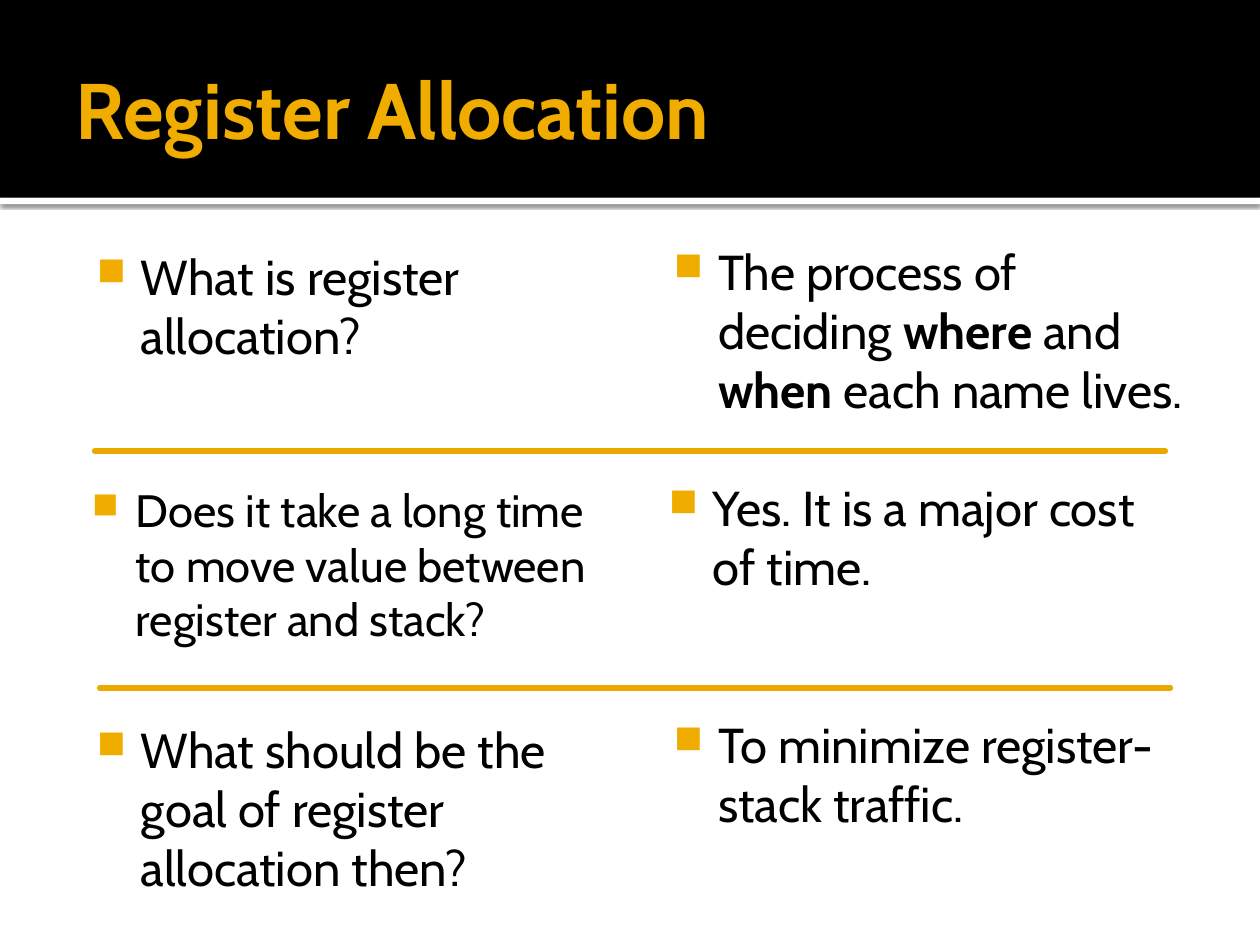
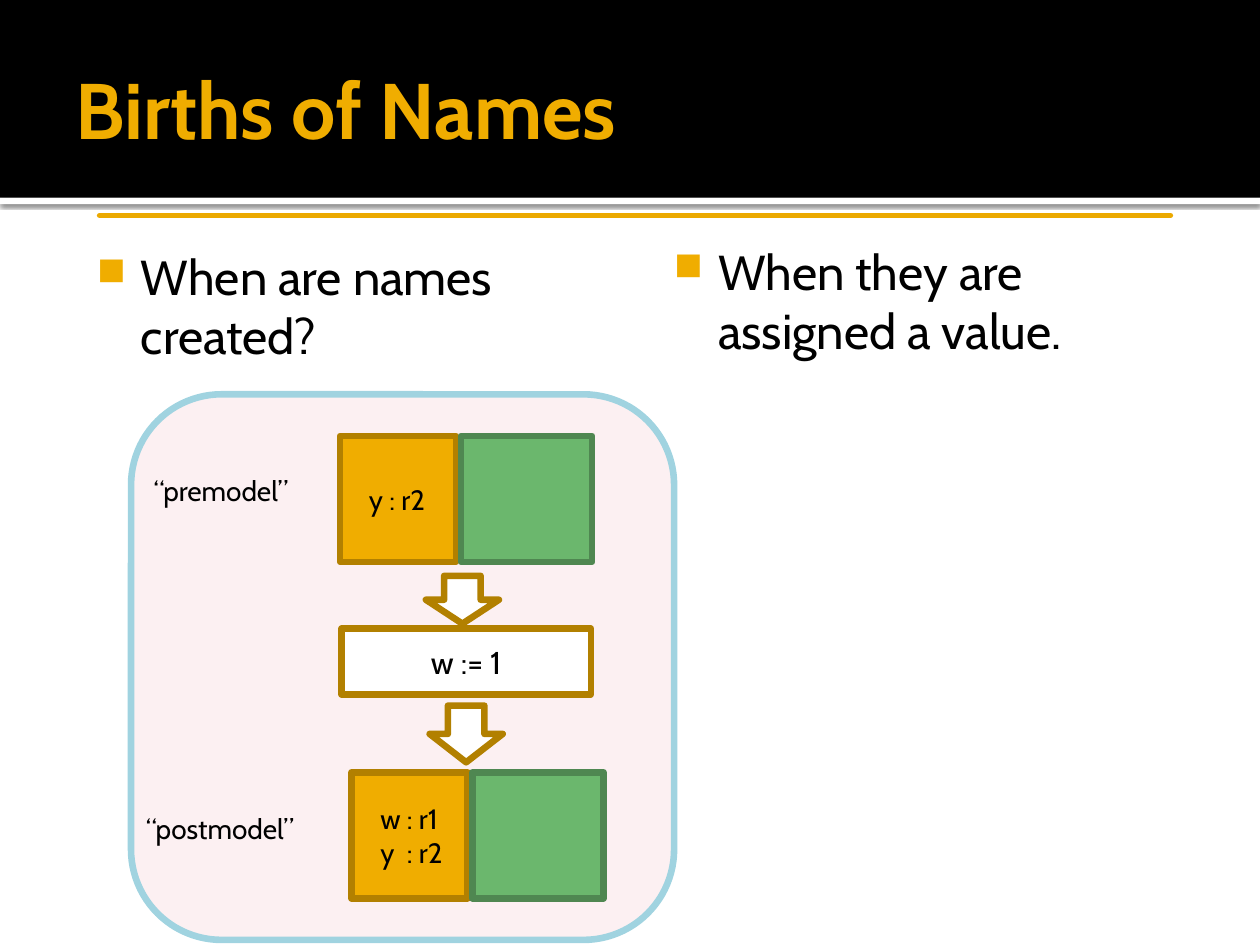
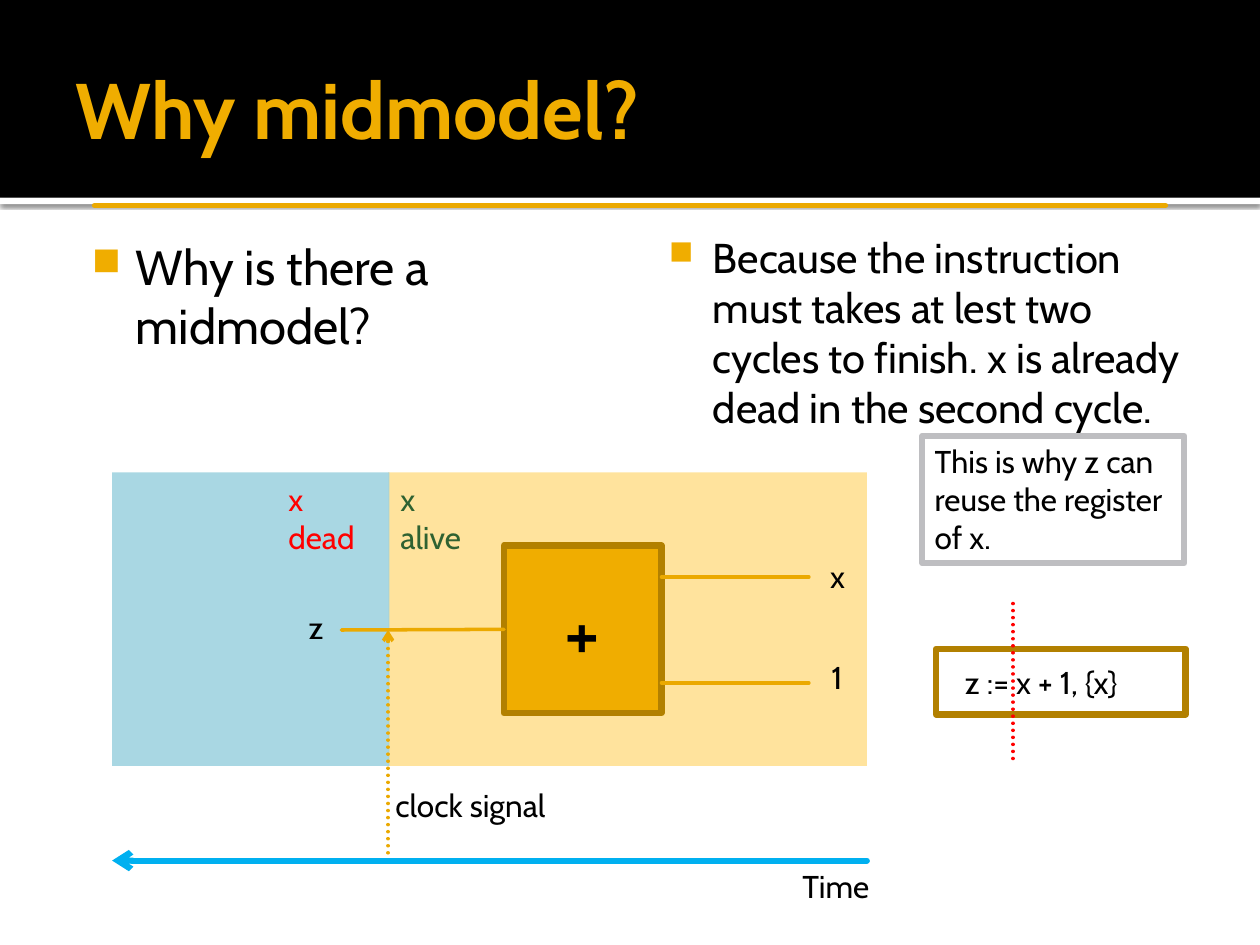
"""Build three slides on register allocation and save them as out.pptx."""
import pptx
import pptx.dml.color
import pptx.enum.dml
import pptx.enum.shapes
import pptx.enum.text
import pptx.oxml
import pptx.oxml.ns
import pptx.util

Inches, Pt = pptx.util.Inches, pptx.util.Pt
SHAPE = pptx.enum.shapes.MSO_SHAPE
ALIGN = pptx.enum.text.PP_ALIGN
ANCHOR = pptx.enum.text.MSO_ANCHOR

FONT = "Cabin"
BLACK, WHITE, GOLD, RULE = "000000", "FFFFFF", "F0AD00", "EBA900"
BROWN, GREEN, DARK_GREEN = "B28000", "6BB76D", "4F8751"
PALE_BLUE, PINK, CREAM = "A0D3E0", "F0A7B1", "FFE193"
SKY, GREY, RED, FOREST = "00B0F0", "BEBEC1", "FF0000", "2F6231"
BORDER = 3.78

# Each row: rule left, rule top, rule drawn, (question, size), (answer, size); *stars* mark bold.
SLIDES = [
    ("Register Allocation", [
        (0.79, 1.71, False, ("What is register allocation?", 28),
         ("The process of deciding *where* and *when* each name lives.", 28)),
        (0.75, 3.58, True,
         ("Does it take a long time to move value between register and stack?", 25.9),
         ("Yes. It is a major cost of time.", 28)),
        (0.79, 5.46, True, ("What should be the goal of register allocation then?", 28),
         ("To minimize register-stack traffic.", 28)),
    ]),
    ("Births of Names", [
        (0.79, 1.71, True, ("When are names created?", 28),
         ("When they are assigned a value.", 28)),
    ]),
    ("Why midmodel?", [
        (0.75, 1.63, True, ("Why is there a midmodel?", 28),
         ("Because the instruction must takes at lest two cycles to finish. "
          "x is already dead in the second cycle.", 23.8)),
    ]),
]

MODELS = [(2.7, 3.46, "y : r2"), (2.79, 6.13, "w : r1\ny  : r2")]
MODEL_LABELS = [("“premodel”", 1.12, 3.71, 1.28), ("“postmodel”", 1.06, 6.39, 1.38)]
DOWN_ARROWS = [(3.38, 4.57, 0.38), (3.41, 5.6, 0.45)]

TIME_LABELS = [
    ("x", 6.49, 4.37, 0.32, BLACK),
    ("1", 6.5, 5.17, 0.32, BLACK),
    ("z", 2.35, 4.78, 0.31, BLACK),
    ("clock signal", 3.04, 6.19, 1.4, BLACK),
    ("Time", 6.27, 6.83, 0.73, BLACK),
    ("x alive", 3.08, 3.76, 0.85, FOREST),
]


def rgb(value):
    return pptx.dml.color.RGBColor.from_string(value)


def add_xml(parent, xml):
    """Append an a: element written as a string."""
    head, gap, rest = xml.partition(" ")
    ns = pptx.oxml.ns.nsdecls("a")
    parent.append(pptx.oxml.parse_xml(f"<a:{head} {ns} {rest}"))


def write(sp, text, size, color=BLACK, bold=False, align=ALIGN.LEFT, indent=0,
          anchor=ANCHOR.TOP, insets=(0.1, 0.05, 0.1, 0.05), wrap=True):
    tf = sp.text_frame
    tf.word_wrap = wrap
    tf.vertical_anchor = anchor
    tf.margin_left, tf.margin_top, tf.margin_right, tf.margin_bottom = map(Inches, insets)
    for i, line in enumerate(text.split("\n")):
        p = tf.add_paragraph() if i else tf.paragraphs[0]
        p.alignment = align
        if indent:
            p._p.get_or_add_pPr().set("marL", str(Inches(indent)))
        for j, part in enumerate(line.split("*")):
            r = p.add_run()
            r.text = part
            r.font.name, r.font.size = FONT, Pt(size)
            r.font.bold = bold or j % 2 == 1
            r.font.color.rgb = rgb(color)


def add_box(slide, at, fill=None, line=None, width=BORDER, kind=SHAPE.RECTANGLE, alpha=None):
    sp = slide.shapes.add_shape(kind, *map(Inches, at))
    sp.shadow.inherit = False
    if fill:
        sp.fill.solid()
        sp.fill.fore_color.rgb = rgb(fill)
    else:
        sp.fill.background()
    if alpha:
        color = sp.element.spPr.find(".//" + pptx.oxml.ns.qn("a:srgbClr"))
        add_xml(color, f'alpha val="{alpha * 1000}"/>')
    if line:
        sp.line.color.rgb = rgb(line)
        sp.line.width = Pt(width)
        add_xml(sp.line._get_or_add_ln(), "round />")
    else:
        sp.line.fill.background()
    return sp


def add_text(slide, at, text, size, **style):
    sp = slide.shapes.add_textbox(*map(Inches, at))
    write(sp, text, size, **style)
    return sp


def add_line(slide, start, end, color=RULE, width=2, dotted=False, arrow=None):
    c = slide.shapes.add_connector(pptx.enum.shapes.MSO_CONNECTOR.STRAIGHT,
                                   *map(Inches, start + end))
    c.line.color.rgb = rgb(color)
    c.line.width = Pt(width)
    if dotted:
        c.line.dash_style = pptx.enum.dml.MSO_LINE.ROUND_DOT
    ln = c.line._get_or_add_ln()
    ln.set("cap", "rnd")
    add_xml(ln, "round />")
    if arrow:
        add_xml(ln, f'{arrow} type="arrow"/>')
    add_xml(c.element.spPr, "effectLst />")
    return c


def add_frame(slide, title):
    """Draw the title band, its shadowed edge and the title."""
    edge = add_box(slide, (0, 1.57, 10, 0.05), WHITE)
    effects = edge.element.spPr.find(pptx.oxml.ns.qn("a:effectLst"))
    add_xml(effects, f'outerShdw blurRad="{Pt(2.5)}" dist="{Pt(0.8)}" dir="5400000">'
                     '<a:srgbClr val="000000"><a:alpha val="60000"/></a:srgbClr></a:outerShdw>')
    add_box(slide, (0, 0, 10, 1.57), BLACK)
    add_text(slide, (0.5, 0.17, 9, 1.37), title, 45, color=GOLD, bold=True,
             anchor=ANCHOR.MIDDLE, insets=(0.1, 0.05, 0.05, 0.05))


def add_bullet(slide, left, top, text, size):
    sp = add_text(slide, (left, top, 4.42, 1.56), text, size, indent=0.48,
                  insets=(0.1, 0.1, 0.1, 0.05))
    pPr = sp.text_frame.paragraphs[0]._p.get_or_add_pPr()
    pPr.set("indent", str(Inches(-0.35)))
    add_xml(pPr, f'buClr ><a:srgbClr val="{GOLD}"/></a:buClr>')
    add_xml(pPr, 'buSzPct val="80000"/>')
    add_xml(pPr, 'buChar char="■"/>')


def add_row(slide, left, top, ruled, question, answer):
    if ruled:
        add_line(slide, (left, top), (left + 8.5, top), width=3)
    add_bullet(slide, left - 0.25, top + 0.15, *question)
    add_bullet(slide, left + 4.33, top + 0.11, *answer)


def draw_births(slide):
    add_box(slide, (1.04, 3.13, 4.31, 4.33), PINK, PALE_BLUE,
            kind=SHAPE.ROUNDED_RECTANGLE, alpha=16)
    sp = add_box(slide, (2.71, 4.99, 1.98, 0.52), WHITE, BROWN)
    write(sp, "w := 1", 18, align=ALIGN.CENTER, anchor=ANCHOR.MIDDLE)
    for left, top, height in DOWN_ARROWS:
        add_box(slide, (left, top, 0.58, height), WHITE, BROWN, kind=SHAPE.DOWN_ARROW)
    for left, top, names in MODELS:
        registers = add_box(slide, (left, top, 0.92, 1), GOLD, BROWN)
        write(registers, names, 16, indent=0.13, anchor=ANCHOR.MIDDLE)
        add_box(slide, (left + 0.96, top, 1.04, 1), GREEN, DARK_GREEN)
    for text, left, top, width in MODEL_LABELS:
        add_text(slide, (left, top, width, 0.37), text, 16, wrap=False)


def draw_midmodel(slide):
    add_box(slide, (3.08, 3.75, 3.8, 2.33), CREAM, alpha=90)
    add_box(slide, (0.89, 3.75, 2.2, 2.33), PALE_BLUE, alpha=90)
    adder = add_box(slide, (4, 4.33, 1.25, 1.33), GOLD, BROWN)
    write(adder, "+", 44, align=ALIGN.CENTER, anchor=ANCHOR.MIDDLE)
    output = add_line(slide, (4, 5), (2.71, 5))
    output.begin_connect(adder, 1)
    for top in (4.58, 5.42):
        add_line(slide, (5.25, top), (6.42, top))
    add_line(slide, (3.08, 5), (3.08, 6.83), dotted=True, arrow="headEnd")
    add_line(slide, (6.88, 6.83), (0.89, 6.83), SKY, 3.5, arrow="tailEnd")
    for text, left, top, width, color in TIME_LABELS:
        add_text(slide, (left, top, width, 0.4), text, 18, color=color, wrap=False)
    add_text(slide, (2.19, 3.76, 0.8, 0.7), "x dead", 18, color=RED)
    note = add_box(slide, (7.32, 3.46, 2.08, 1.01), line=GREY, width=3.5)
    write(note, "This is why z can reuse the register of x.", 18)
    code = add_box(slide, (7.43, 5.15, 1.98, 0.52), WHITE, BROWN)
    write(code, "z := x + 1, {x}", 18, indent=0.13, anchor=ANCHOR.MIDDLE)
    add_line(slide, (8.04, 4.79), (8.04, 6.07), RED, dotted=True)


def main():
    prs = pptx.Presentation()
    prs.slide_width, prs.slide_height = Inches(10), Inches(7.5)
    diagrams = {"Births of Names": draw_births, "Why midmodel?": draw_midmodel}
    for title, rows in SLIDES:
        slide = prs.slides.add_slide(prs.slide_layouts[6])
        add_frame(slide, title)
        for row in rows:
            add_row(slide, *row)
        if title in diagrams:
            diagrams[title](slide)
    prs.save("out.pptx")


if __name__ == "__main__":
    main()
